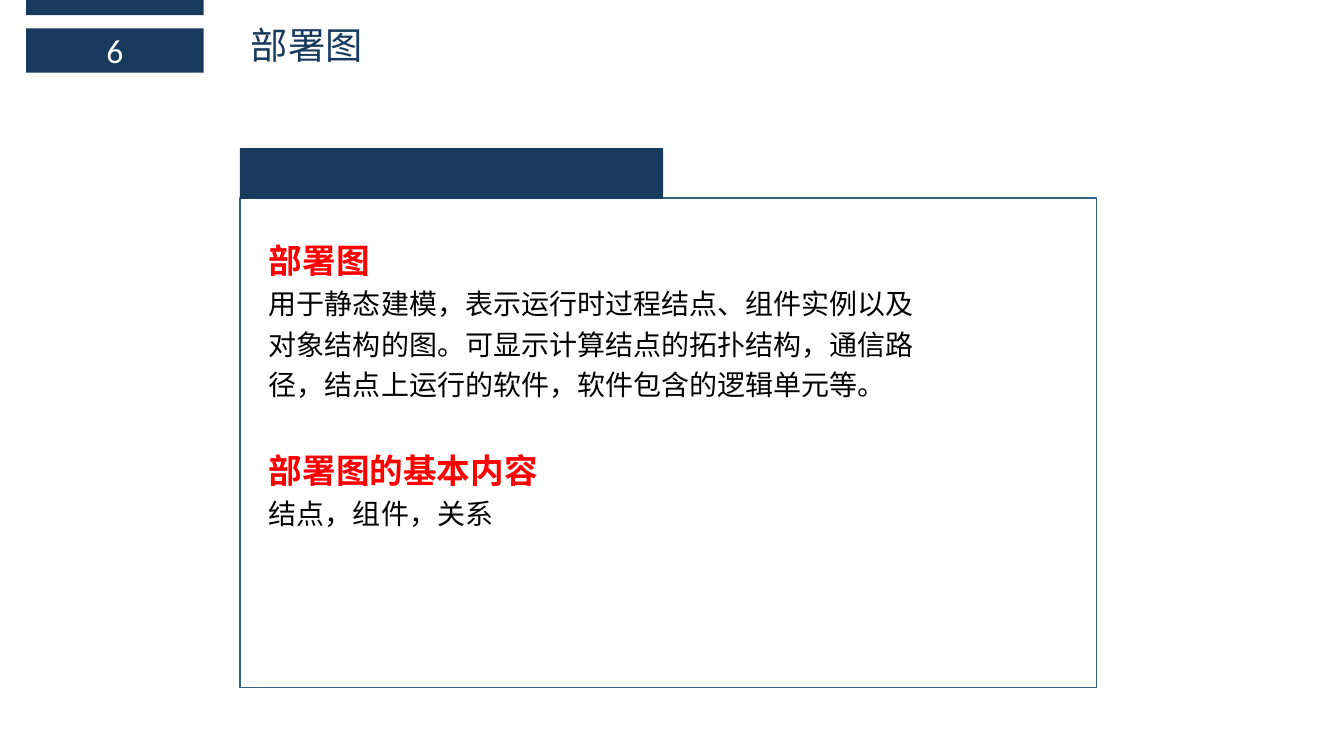
from dataclasses import dataclass
from typing import Optional

from lxml.etree import SubElement
from pptx import Presentation
from pptx.dml.color import RGBColor
from pptx.enum.shapes import MSO_SHAPE
from pptx.enum.text import MSO_ANCHOR, PP_ALIGN
from pptx.oxml.ns import qn
from pptx.shapes.autoshape import Shape
from pptx.slide import Slide
from pptx.text.text import TextFrame
from pptx.util import Pt


@dataclass(frozen=True)
class Theme:
    navy: str = "183A5D"
    edge: str = "346182"
    red: str = "FF0000"
    black: str = "000000"
    white: str = "FFFFFF"
    latin: str = "Calibri"
    asian: str = "Noto Sans CJK SC"
    title: float = 26.6
    head: float = 24
    body: float = 20


@dataclass(frozen=True)
class Box:
    left: float
    top: float
    width: float
    height: float
    fill: Optional[str] = None
    line: Optional[str] = None


@dataclass(frozen=True)
class Para:
    text: str
    size: float
    color: str
    face: str
    bold: bool = False
    form: Optional[dict] = None


THEME = Theme()
EDGE = 171.4
BAR = Box(18.7, 0, 126.7, 10.8, THEME.navy)
BADGE = Box(18.7, 20.2, 126.7, 31.7, THEME.navy)
FRAME = Box(EDGE, 141.5, 612, 349.7, line=THEME.edge)
TAB = Box(EDGE, 105.8, 302.4, 36.4, THEME.navy)
TITLE = Box(172.1, 12.2, 476.6, 39.6)
BODY = Box(185, 162, 479.5, 222.5)

TOPICS = [
    ("部署图", "用于静态建模，表示运行时过程结点、组件实例以及对象结构的图。"
     "可显示计算结点的拓扑结构，通信路径，结点上运行的软件，软件包含的逻辑单元等。"),
    ("部署图的基本内容", "结点，组件，关系"),
]


def place(box: Box) -> tuple:
    """Return the box's bounds as lengths."""
    return tuple(Pt(n) for n in (box.left, box.top, box.width, box.height))


def block(slide: Slide, box: Box) -> Shape:
    """Draw a plain rectangle."""
    shape = slide.shapes.add_shape(MSO_SHAPE.RECTANGLE, *place(box))
    shape.shadow.inherit = False
    for part, color in ((shape.fill, box.fill), (shape.line.fill, box.line)):
        if color:
            part.solid()
            part.fore_color.rgb = RGBColor.from_string(color)
        else:
            part.background()
    if box.line:
        shape.line.width = Pt(1)
    return shape


def write(frame: TextFrame, paras: list[Para]) -> None:
    """Fill a text frame with styled paragraphs."""
    frame.word_wrap = True
    for i, item in enumerate(paras):
        para = frame.add_paragraph() if i else frame.paragraphs[0]
        for key, val in (item.form or {}).items():
            setattr(para, key, val)
        run = para.add_run()
        run.text = item.text
        style = {"name": item.face, "size": Pt(item.size), "bold": item.bold}
        for key, val in style.items():
            setattr(run.font, key, val)
        run.font.color.rgb = RGBColor.from_string(item.color)
        SubElement(run.font._element, qn("a:ea"), typeface=THEME.asian)


def label(slide: Slide, box: Box, paras: list[Para]) -> None:
    """Add a text box."""
    write(slide.shapes.add_textbox(*place(box)).text_frame, paras)


def topics() -> list[Para]:
    """Build the heading and text of each topic."""
    paras = []
    for i, (head, text) in enumerate(TOPICS):
        gap = {"space_before": Pt(28.8)} if i else {}
        form = {"line_spacing": 1.2}
        paras += [
            Para(head, THEME.head, THEME.red, THEME.latin, True, form | gap),
            Para(text, THEME.body, THEME.black, THEME.latin, form=form),
        ]
    return paras


def main() -> None:
    """Build and save the slide."""
    deck = Presentation()
    deck.slide_width, deck.slide_height = Pt(960), Pt(540)
    slide = deck.slides.add_slide(deck.slide_layouts[6])
    block(slide, BAR)
    badge = block(slide, BADGE).text_frame
    badge.vertical_anchor = MSO_ANCHOR.MIDDLE
    write(badge, [Para("6", THEME.head, THEME.white, THEME.latin,
                       form={"alignment": PP_ALIGN.CENTER})])
    label(slide, TITLE, [Para("部署图", THEME.title, THEME.navy, THEME.asian)])
    for box in (FRAME, TAB):
        block(slide, box)
    label(slide, BODY, topics())
    deck.save("out.pptx")


if __name__ == "__main__":
    main()
